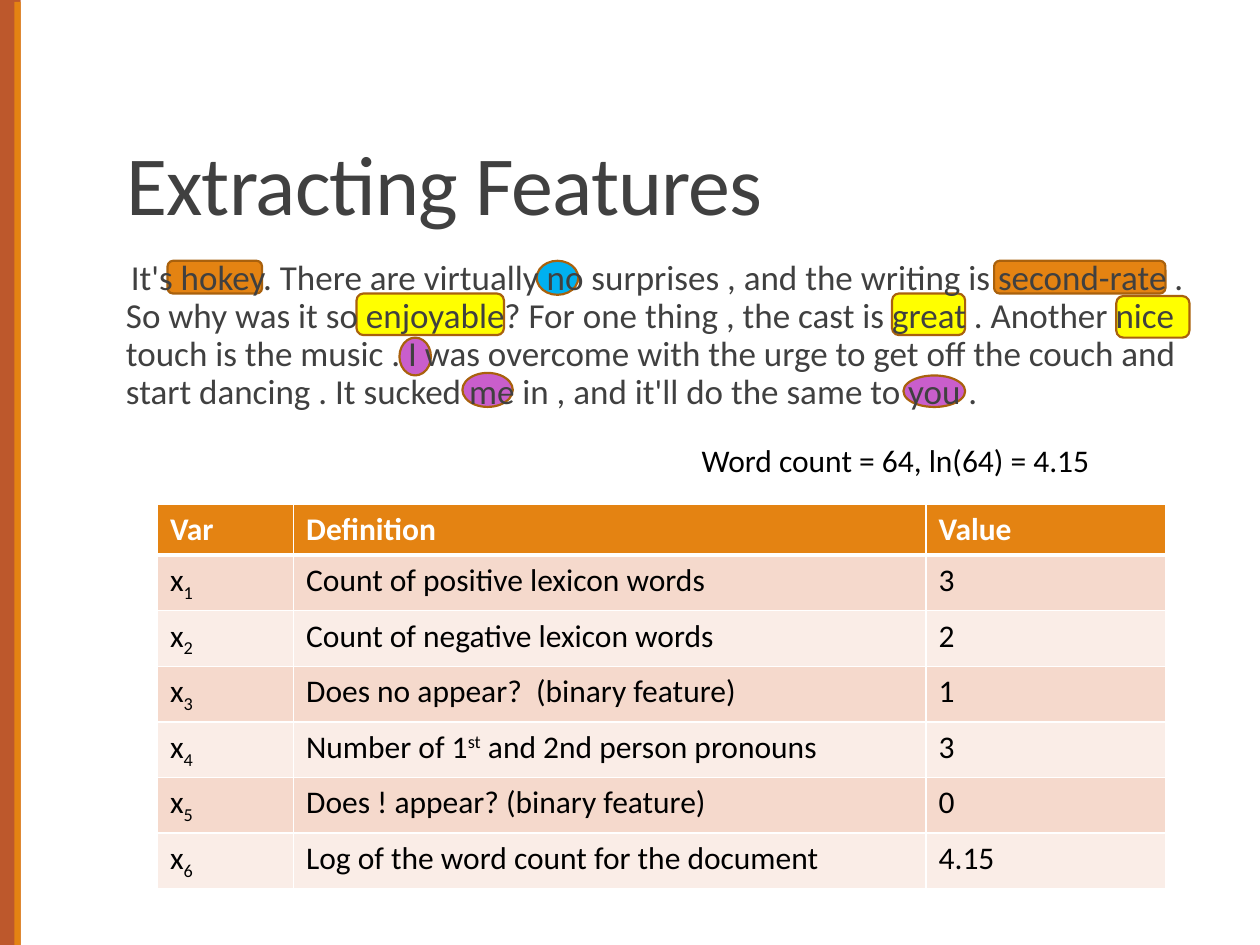
from dataclasses import dataclass
from typing import NamedTuple

from lxml import etree
from pptx import Presentation
from pptx.dml.color import RGBColor
from pptx.enum.shapes import MSO_SHAPE
from pptx.enum.text import MSO_ANCHOR, MSO_AUTO_SIZE, PP_ALIGN
from pptx.oxml.ns import qn
from pptx.util import Inches, Pt

OVAL, ROUND, RECT = MSO_SHAPE.OVAL, MSO_SHAPE.ROUNDED_RECTANGLE, MSO_SHAPE.RECTANGLE
LEFT, BOTTOM, FIXED = PP_ALIGN.LEFT, MSO_ANCHOR.BOTTOM, MSO_AUTO_SIZE.NONE
WIDTH, HEIGHT = Inches(10), Inches(7.5)
UNIT = WIDTH / 100
TITLE_ONLY = 5


@dataclass(frozen=True)
class Theme:
    font: str = "Calibri"
    title: float = 48
    body: float = 20
    cell: float = 18
    outline: float = 1.25
    border: float = 1
    header_border: float = 3
    text: str = "404040"
    black: str = "000000"
    white: str = "FFFFFF"
    rust: str = "BD582C"
    orange: str = "E48312"
    edge: str = "A9610D"
    pronoun: str = "C95ECB"
    negation: str = "00B0F0"
    positive: str = "FFFF00"
    bands: tuple[str, str] = ("F5D9CC", "FAEDE7")


class Box(NamedTuple):
    x: float
    y: float
    w: float
    h: float


class Mark(NamedTuple):
    kind: int
    color: str
    box: Box


class Run(NamedTuple):
    text: str
    baseline: int = 0


class Feature(NamedTuple):
    definition: list[Run]
    value: str


T = Theme()
BARS = [
    Mark(RECT, T.rust, Box(0, 0, 1.65, 75)),
    Mark(RECT, T.orange, Box(1.15, 0.15, 0.5, 74.85)),
]
MARKS = [
    Mark(OVAL, T.pronoun, Box(31.7, 26.8, 2.5, 3)),
    Mark(OVAL, T.pronoun, Box(36.7, 29.6, 4, 2.7)),
    Mark(OVAL, T.pronoun, Box(71.7, 29.8, 4.9, 2.5)),
    Mark(OVAL, T.negation, Box(42.6, 20.7, 3.3, 2.7)),
    Mark(ROUND, T.orange, Box(13.3, 20.7, 7.5, 2.6)),
    Mark(ROUND, T.orange, Box(78.9, 20.7, 13.6, 2.6)),
    Mark(ROUND, T.positive, Box(28.3, 23.3, 11.7, 3.3)),
    Mark(ROUND, T.positive, Box(70.8, 23.3, 5.8, 3.3)),
    Mark(ROUND, T.positive, Box(88.6, 23.5, 5.8, 3.3)),
]
REVIEW = (
    "It's hokey. There are virtually no surprises , and the writing is second-rate . "
    "So why was it so enjoyable? For one thing , the cast is great . Another nice "
    "touch is the music . I was overcome with the urge to get off the couch and "
    "start dancing . It sucked me in , and it'll do the same to you ."
)
HEADERS = ["Var", "Definition", "Value"]
COLUMNS = [10.8, 50.2, 19]
ROW = 4.06
FEATURES = [
    Feature([Run("Count of positive lexicon words")], "3"),
    Feature([Run("Count of negative lexicon words")], "2"),
    Feature([Run("Does no appear?  (binary feature)")], "1"),
    Feature([Run("Number of 1"), Run("st", 30), Run(" and 2nd person pronouns")], "3"),
    Feature([Run("Does ! appear? (binary feature)")], "0"),
    Feature([Run("Log of the word count for the document")], "4.15"),
]


def units(n: float) -> int:
    return round(n * UNIT)


def place(box: Box) -> list[int]:
    return [units(n) for n in box]


def apply(target, **values) -> None:
    for name, value in values.items():
        setattr(target, name, value)


def add_run(p, run: Run, size: float, color: str, bold: bool = False):
    r = p.add_run()
    r.text = run.text
    apply(r.font, name=T.font, size=Pt(size), bold=bold)
    r.font.color.rgb = RGBColor.from_string(color)
    if run.baseline:
        r.font._element.set("baseline", str(run.baseline * 1000))
    return r


def add_mark(slide, mark: Mark, outlined: bool) -> None:
    sp = slide.shapes.add_shape(mark.kind, *place(mark.box))
    sp.shadow.inherit = False
    sp.fill.solid()
    sp.fill.fore_color.rgb = RGBColor.from_string(mark.color)
    if outlined:
        sp.line.width = Pt(T.outline)
        sp.line.color.rgb = RGBColor.from_string(T.edge)
    else:
        sp.line.fill.background()


def set_title(slide, text: str, box: Box) -> None:
    sp = slide.shapes.title
    apply(sp, **dict(zip(("left", "top", "width", "height"), place(box))))
    tf = sp.text_frame
    apply(tf, word_wrap=True, auto_size=FIXED, vertical_anchor=BOTTOM)
    p = tf.paragraphs[0]
    apply(p, alignment=LEFT, line_spacing=0.85)
    r = add_run(p, Run(text), T.title, T.text)
    r.font._element.set("spc", "-50")


def add_review(slide, text: str, box: Box) -> None:
    tf = slide.shapes.add_textbox(*place(box)).text_frame
    apply(tf, word_wrap=True, margin_left=0, margin_right=0)
    p = tf.paragraphs[0]
    apply(p, line_spacing=0.9, space_after=Pt(2))
    pPr = p._p.get_or_add_pPr()
    pPr.set("marL", str(units(1)))
    pPr.set("indent", str(-units(1)))
    color = etree.SubElement(pPr, qn("a:buClr"))
    etree.SubElement(color, qn("a:srgbClr"), val=T.orange)
    etree.SubElement(pPr, qn("a:buChar"), char=" ")
    add_run(p, Run(text), T.body, T.text)


def add_note(slide, text: str, box: Box) -> None:
    tf = slide.shapes.add_textbox(*place(box)).text_frame
    tf.word_wrap = False
    add_run(tf.paragraphs[0], Run(text), T.cell, T.black)


def set_borders(cell, **widths: float) -> None:
    tcPr = cell._tc.get_or_add_tcPr()
    for side, width in widths.items():
        ln = etree.SubElement(tcPr, qn(f"a:ln{side}"), w=str(Pt(width)))
        fill = etree.SubElement(ln, qn("a:solidFill"))
        etree.SubElement(fill, qn("a:srgbClr"), val=T.white)


def fill_cell(cell, runs: list[Run], row: int) -> None:
    header = row == 0
    top = T.header_border if row == 1 else T.border
    bottom = T.header_border if header else T.border
    set_borders(cell, L=T.border, R=T.border, T=top, B=bottom)
    cell.fill.solid()
    color = T.orange if header else T.bands[(row - 1) % 2]
    cell.fill.fore_color.rgb = RGBColor.from_string(color)
    for run in runs:
        add_run(cell.text_frame.paragraphs[0], run, T.cell,
                T.white if header else T.black, header)


def add_features(slide, x: float, y: float) -> None:
    rows = [[[Run(h)] for h in HEADERS]]
    for i, f in enumerate(FEATURES, 1):
        rows.append([[Run("x"), Run(str(i), -25)], f.definition, [Run(f.value)]])
    box = Box(x, y, sum(COLUMNS), ROW * len(rows))
    table = slide.shapes.add_table(len(rows), len(COLUMNS), *place(box)).table
    for column, width in zip(table.columns, COLUMNS):
        column.width = units(width)
    for i, row in enumerate(rows):
        for j, runs in enumerate(row):
            fill_cell(table.cell(i, j), runs, i)


def main() -> None:
    prs = Presentation()
    apply(prs, slide_width=WIDTH, slide_height=HEIGHT)
    slide = prs.slides.add_slide(prs.slide_layouts[TITLE_ONLY])
    for marks, outlined in ((BARS, False), (MARKS, True)):
        for mark in marks:
            add_mark(slide, mark, outlined)
    set_title(slide, "Extracting Features", Box(9, 3.1, 82.5, 15.9))
    add_review(slide, REVIEW, Box(9, 20.2, 86, 44))
    add_features(slide, 12.5, 40)
    add_note(slide, "Word count = 64, ln(64) = 4.15", Box(54.7, 34.5, 33.2, 4))
    prs.save("out.pptx")


if __name__ == "__main__":
    main()
